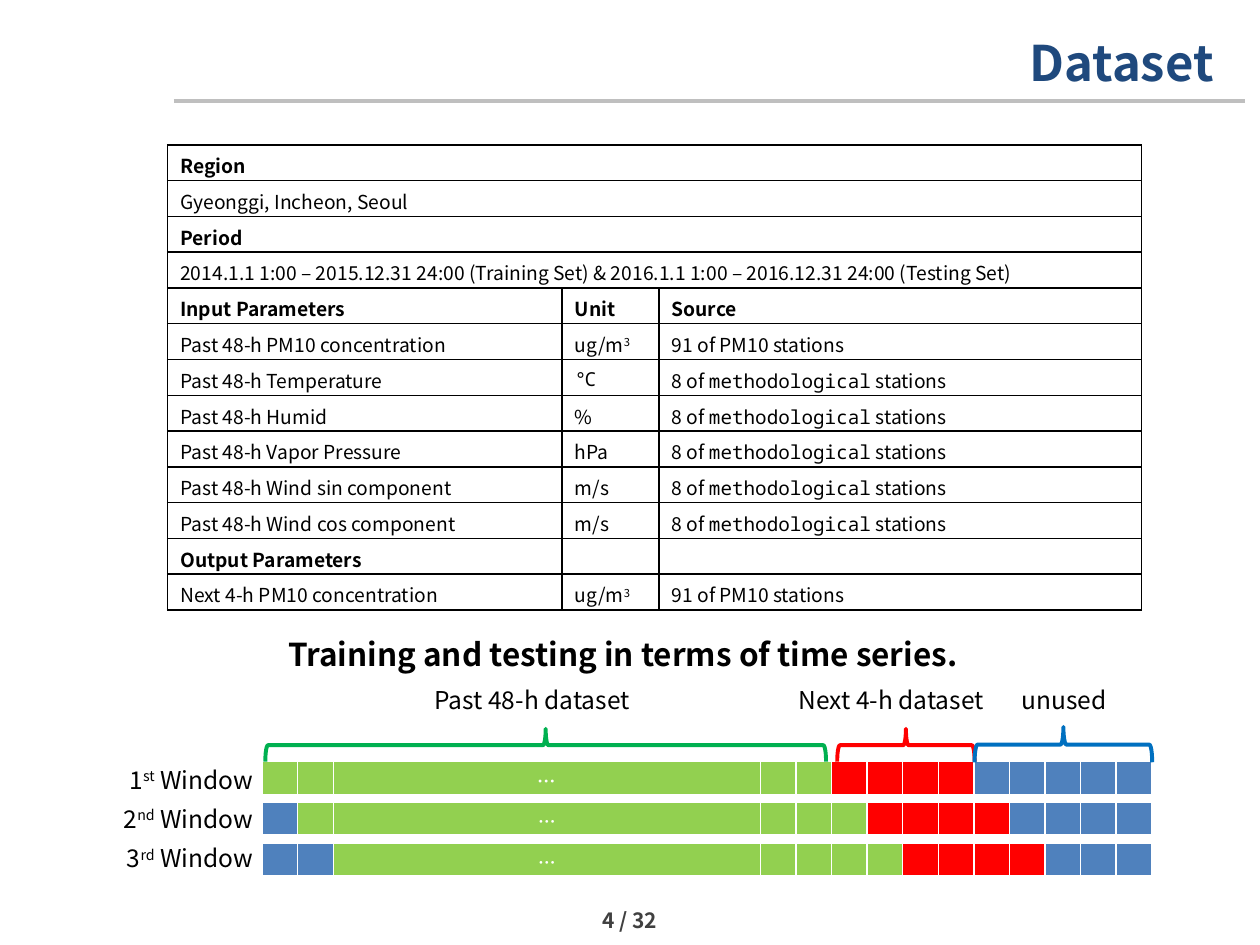
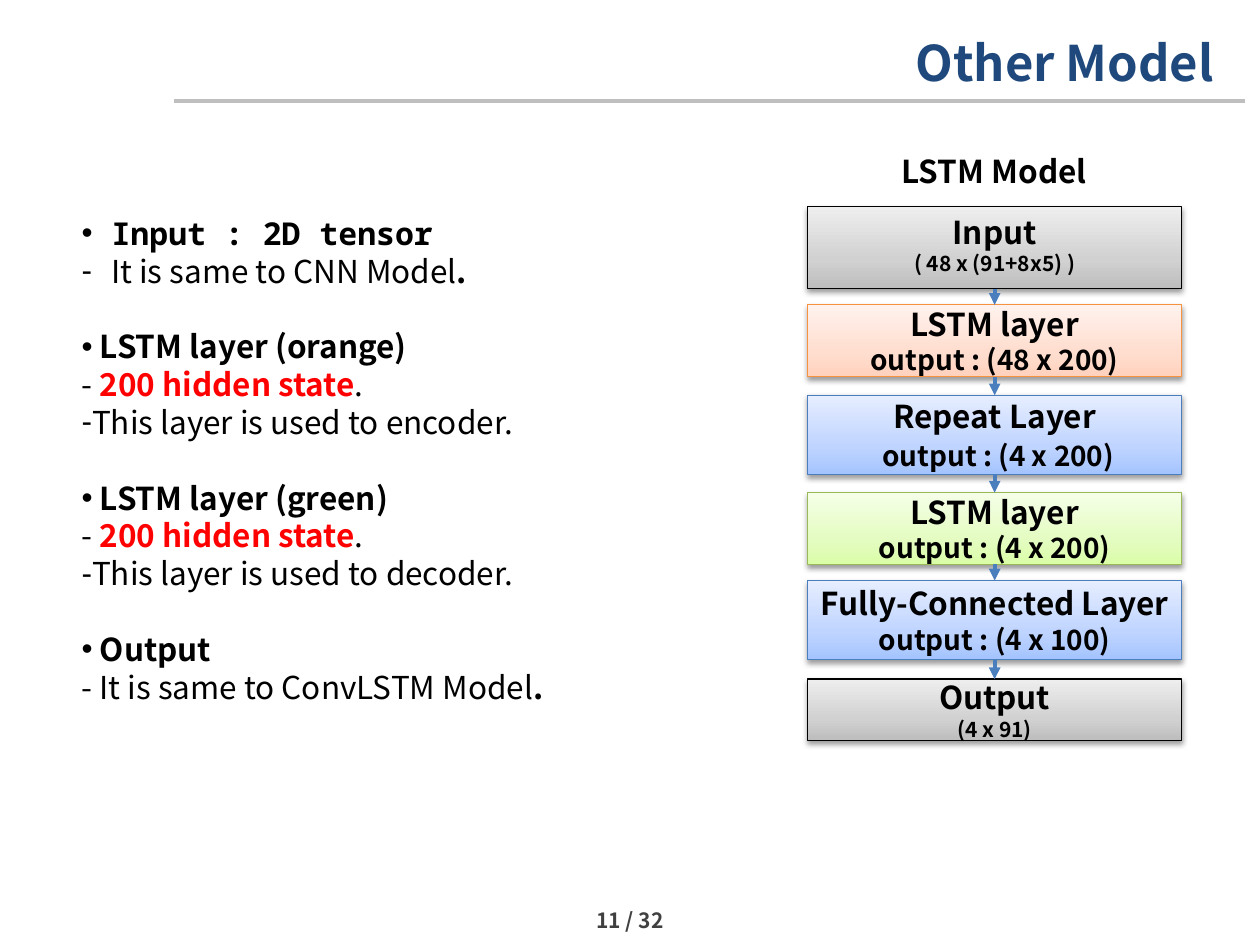
import pptx
import pptx.util
import pptx.dml.color
import pptx.enum.shapes
import pptx.enum.text
import pptx.oxml.ns
from lxml import etree

Pt = pptx.util.Pt
qn = pptx.oxml.ns.qn
KIND = pptx.enum.shapes.MSO_SHAPE
ALIGN = pptx.enum.text.PP_ALIGN
ANCHOR = pptx.enum.text.MSO_ANCHOR

SANS, MONO = "Noto Sans CJK KR", "Noto Sans Mono"
HUE = {
    "ink": "000000", "white": "FFFFFF", "title": "1F497D", "rule": "BFBFBF",
    "page": "404040", "past": "92D050", "next": "FF0000", "unused": "4F81BD",
    "past_brace": "00B050", "unused_brace": "0070C0", "arrow": "4B7EBC",
}

# Dataset slide
CUBE = ["ug/m", ("3", {"base": 30})]
MET = ["8 of ", ("methodological", {"face": MONO}), " stations"]
PM = "91 of PM10 stations"
HEADS = ("Region", "Period", "Input Parameters", "Output Parameters")
FACTS = [
    ("Region",),
    ("Gyeonggi, Incheon, Seoul",),
    ("Period",),
    ("2014.1.1 1:00 – 2015.12.31 24:00 (Training Set) & "
     "2016.1.1 1:00 – 2016.12.31 24:00 (Testing Set)",),
    ("Input Parameters", "Unit", "Source"),
    ("Past 48-h PM10 concentration", CUBE, PM),
    ("Past 48-h Temperature", [("℃", {"face": MONO})], MET),
    ("Past 48-h Humid", "%", MET),
    ("Past 48-h Vapor Pressure", "hPa", MET),
    ("Past 48-h Wind sin component", "m/s", MET),
    ("Past 48-h Wind cos component", "m/s", MET),
    ("Output Parameters", "", ""),
    ("Next 4-h PM10 concentration", CUBE, PM),
]
FACT_COLS = (225.4, 55.4, 275.8)

# number, suffix, text size, cells of each kind in order
WINDOWS = [
    ("1", "st", 10.5, (("past", 5), ("next", 4), ("unused", 5))),
    ("2", "nd", 10, (("unused", 1), ("past", 5), ("next", 4), ("unused", 4))),
    ("3", "rd", 10, (("unused", 2), ("past", 5), ("next", 4), ("unused", 3))),
]
# label, left and width of label, brace colour, left, top, span, depth
SPANS = [
    ("Past 48-h dataset", 241.2, 129.6, "past_brace", 151.6, 416.5, 320.4, 18.7),
    ("Next 4-h dataset", 449.3, 129.6, "next", 478.4, 416.5, 78.5, 18.7),
    ("unused", 576.7, 64.8, "unused_brace", 556.9, 415.4, 101.5, 20.2),
]

# Other Model slide
HIDDEN = [("- ", {}), ("200 hidden state", {"bold": True, "hue": "next"}), "."]
BOLD = {"bold": True}
NOTES = [
    [("•", [(" Input : 2D tensor", {"bold": True, "face": MONO})]),
     ("-", [(" ", {"face": MONO}), "It is same to CNN Model", (".", BOLD)])],
    [("•", [(" LSTM layer (orange)", BOLD)]),
     (None, HIDDEN),
     ("-", "This layer is used to encoder.")],
    [("•", [(" LSTM layer (green)", BOLD)]),
     (None, HIDDEN),
     ("-", "This layer is used to decoder.")],
    [("•", [(" Output", BOLD)]),
     (None, ["- It is same to ConvLSTM Model", (".", BOLD)])],
]
# line colour, then gradient from bottom to top
TINTS = {
    "grey": ("000000", "BDBDBD", "D1D1D1", "EEEEEE"),
    "orange": ("F69240", "FFD2BD", "FFDED0", "FFF2ED"),
    "blue": ("4B7EBC", "A4C4FF", "BFD4FF", "E6EEFF"),
    "green": ("98B955", "DAFDA7", "E4FCC2", "F5FFE7"),
}
# name, detail, detail size, tint, top, height
LAYERS = [
    ("Input", "( 48 x (91+8x5) )", 12, "grey", 118.1, 46.8),
    ("LSTM layer", "output : (48 x 200)", 16, "orange", 174.2, 41),
    ("Repeat Layer", "output : (4 x 200)", 16, "blue", 225.9, 45.2),
    ("LSTM layer", "output : (4 x 200)", 16, "green", 281.5, 41),
    ("Fully-Connected Layer", "output : (4 x 100)", 16, "blue", 331.7, 45.2),
    ("Output", "(4 x 91)", 12, "grey", 388.1, 35.2),
]


def rgb(code):
    return pptx.dml.color.RGBColor.from_string(code)


def node(parent, tag, **attrs):
    item = etree.SubElement(parent, qn("a:" + tag))
    for key, value in attrs.items():
        item.set(key, str(value))
    return item


def write(para, text, size=14, hue="ink", bold=False, face=SANS, align=None,
          base=0, bullet=None, before=0):
    """Fill a paragraph with a string, or a list of strings and (string, format)."""
    para.alignment = align
    if before:
        para.space_before = Pt(before)
    if bullet:
        props = para._p.get_or_add_pPr()
        props.set("marL", "0")
        props.set("indent", "0")
        node(props, "buFont", typeface="Arial")
        node(props, "buChar", char=bullet)
    for part in [text] if isinstance(text, str) else text:
        words, own = (part, {}) if isinstance(part, str) else part
        look = {"size": size, "hue": hue, "bold": bold, "face": face,
                "base": base, **own}
        if not words:
            node(para._p, "endParaRPr", lang="en-US", sz=int(look["size"] * 100))
            continue
        run = para.add_run()
        run.text = words
        font = run.font
        font.size, font.bold = Pt(look["size"]), look["bold"]
        font.color.rgb = rgb(HUE[look["hue"]])
        font.name = look["face"]
        props = run._r.get_or_add_rPr()
        node(props, "ea", typeface=look["face"])
        if look["base"]:
            props.set("baseline", str(look["base"] * 1000))


def label(slide, text, left, top, width, height, anchor=ANCHOR.TOP, **look):
    frame = slide.shapes.add_textbox(
        Pt(left), Pt(top), Pt(width), Pt(height)).text_frame
    frame.word_wrap = True
    frame.vertical_anchor = anchor
    write(frame.paragraphs[0], text, **look)
    return frame


def stroke(slide, start, end, hue):
    line = slide.shapes.add_connector(
        pptx.enum.shapes.MSO_CONNECTOR.STRAIGHT, *map(Pt, start + end))
    line.line.color.rgb = rgb(HUE[hue])
    line.line.width = Pt(2.25)
    node(line._element.spPr, "effectLst")
    return line


def page(deck, title, number):
    """Add a slide with the shared title, rule and page number."""
    slide = deck.slides.add_slide(deck.slide_layouts[6])
    stroke(slide, (99.4, 57.6), (711.4, 57.6), "rule")
    label(slide, title, 72, 15.1, 628.6, 32.4, size=28, hue="title",
          bold=True, align=ALIGN.RIGHT)
    label(slide, f"{number} / 32", 323.3, 514.1, 73.4, 23, ANCHOR.MIDDLE,
          size=12, hue="page", bold=True, align=ALIGN.CENTER)
    return slide


def grid(slide, left, top, cols, rows, height):
    table = slide.shapes.add_table(
        rows, len(cols), Pt(left), Pt(top), Pt(sum(cols)),
        Pt(rows * height)).table
    table.first_row = table.horz_banding = False
    for col, width in zip(table.columns, cols):
        col.width = Pt(width)
    for row in table.rows:
        row.height = Pt(height)
    return table


def edge(cell, hue, foot=1):
    """Draw the four cell borders; foot is the width of the lower one."""
    props = cell._tc.get_or_add_tcPr()
    for side, width in zip("LRTB", (1, 1, 1, foot)):
        line = node(props, "ln" + side, w=Pt(width))
        node(node(line, "solidFill"), "srgbClr", val=HUE[hue])


def facts(slide):
    table = grid(slide, 95.8, 82.8, FACT_COLS, len(FACTS), 20.4)
    for r, row in enumerate(FACTS):
        for c in range(len(FACT_COLS)):
            cell = table.cell(r, c)
            edge(cell, "ink")
            cell.fill.background()
            write(cell.text_frame.paragraphs[0], row[c] if c < len(row) else "",
                  size=11, bold=row[0] in HEADS)
        if len(row) == 1:
            table.cell(r, 0).merge(table.cell(r, len(FACT_COLS) - 1))


def windows(slide):
    unit = 20.34
    cols = [unit] * 2 + [244.1] + [unit] * 11
    for i, (num, suffix, size, parts) in enumerate(WINDOWS):
        kinds = [kind for kind, count in parts for _ in range(count)]
        table = grid(slide, 149.8, 434.9 + 23.4 * i, cols, 1, 20 if i == 0 else 19.4)
        for c, kind in enumerate(kinds):
            cell = table.cell(0, c)
            edge(cell, "white", foot=3)
            cell.fill.solid()
            cell.fill.fore_color.rgb = rgb(HUE[kind])
            write(cell.text_frame.paragraphs[0], "…" if c == 2 else "",
                  size=size, hue="white", bold=True, align=ALIGN.CENTER)
        label(slide, [num, (suffix, {"base": 30}), " Window"],
              39.6, 433.4 + 22.4 * i, 112.3, 24.2, align=ALIGN.RIGHT)


def spans(slide):
    for text, x, wide, hue, left, top, span, depth in SPANS:
        label(slide, text, x, 388.1, wide, 24.2)
        # A quarter turn swaps the sides about the centre.
        shift = (span - depth) / 2
        brace = slide.shapes.add_shape(
            KIND.LEFT_BRACE, Pt(left + shift), Pt(top - shift), Pt(depth), Pt(span))
        brace.rotation = 90
        brace.shadow.inherit = False
        brace.fill.background()
        brace.line.color.rgb = rgb(HUE[hue])
        brace.line.width = Pt(2.25)


def layer(slide, name, detail, size, tint, top, height):
    box = slide.shapes.add_shape(
        KIND.RECTANGLE, Pt(461.5), Pt(top), Pt(213.8), Pt(height))
    edging, *stops = TINTS[tint]
    props = box._element.spPr
    fill = node(props, "gradFill", rotWithShape=1)
    marks = node(fill, "gsLst")
    for pos, code in zip((0, 35, 100), stops):
        node(node(marks, "gs", pos=pos * 1000), "srgbClr", val=code)
    node(fill, "lin", ang=270 * 60000, scaled=0)
    box.line.color.rgb = rgb(edging)
    box.line.width = Pt(0.75)
    shade = node(node(props, "effectLst"), "outerShdw", blurRad=Pt(3.1),
                 dist=Pt(1.6), dir=90 * 60000, rotWithShape=0)
    node(node(shade, "srgbClr", val=HUE["ink"]), "alpha", val=38000)
    frame = box.text_frame
    frame.word_wrap = True
    frame.margin_left = frame.margin_right = 0
    frame.vertical_anchor = ANCHOR.TOP if name == "Input" else ANCHOR.MIDDLE
    look = {"bold": True, "align": ALIGN.CENTER}
    write(frame.paragraphs[0], name, size=18, **look)
    lead = [(" ", {"size": 18})] if name == "Repeat Layer" else []
    write(frame.add_paragraph(), lead + [detail], size=size, **look)
    return box


def model(slide):
    boxes = [layer(slide, *item) for item in LAYERS]
    for above, below in zip(boxes, boxes[1:]):
        arrow = stroke(slide, (0, 0), (0, 0), "arrow")
        arrow.begin_connect(above, 2)
        arrow.end_connect(below, 0)
        node(arrow.line._get_or_add_ln(), "tailEnd", type="triangle")
    label(slide, "LSTM Model", 472.3, 83.5, 191.5, 28.8, size=18, bold=True,
          align=ALIGN.CENTER)


def notes(slide):
    frame = label(slide, [], 39.6, 118.8, 298, 290.9)
    for g, group in enumerate(NOTES):
        for i, (bullet, text) in enumerate(group):
            first = g == i == 0
            para = frame.paragraphs[0] if first else frame.add_paragraph()
            write(para, text, size=18, bullet=bullet,
                  before=21.6 if g and i == 0 else 0)


def main():
    deck = pptx.Presentation()
    deck.slide_width, deck.slide_height = Pt(720), Pt(540)
    data = page(deck, "Dataset", 4)
    windows(data)
    spans(data)
    facts(data)
    label(data, "Training and testing in terms of time series.",
          157.7, 359.3, 433.4, 28.8, size=18, bold=True)
    other = page(deck, "Other Model", 11)
    model(other)
    notes(other)
    deck.save("out.pptx")


if __name__ == "__main__":
    main()
